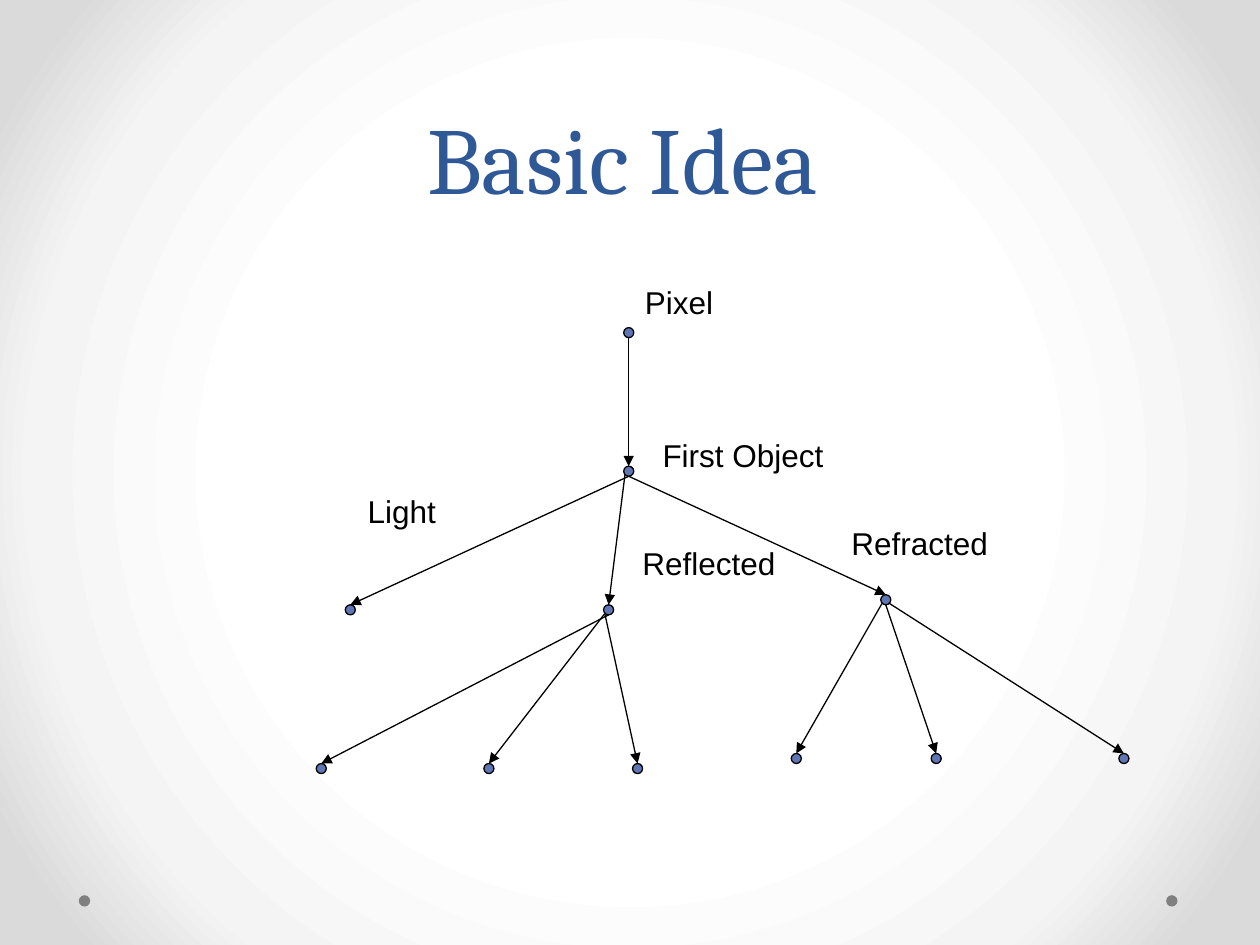
import pptx
import pptx.dml.color
import pptx.enum.shapes
import pptx.enum.text
import pptx.oxml
import pptx.oxml.ns
import pptx.util

SIZE = (10, 7.5)
TITLE = ("Basic Idea", (0.44, -0.01, 9, 1.75))
TITLE_FORMAT = {"name": "Cambria", "size": pptx.util.Pt(54)}
LABEL_FORMAT = {"name": "Arial", "size": pptx.util.Pt(18)}
BACKGROUND_STOPS = [(50, "FFFFFF"), (76, "F4F4F4"), (92, "DADADA")]

DOT = 0.08
FOOTER_DOT = 0.09
FOOTER_DOTS = [(0.67, 7.15), (9.3, 7.15)]
NODES = {
    "pixel": (4.99, 2.64),
    "first object": (4.99, 3.74),
    "light": (2.78, 4.84),
    "reflected": (4.83, 4.84),
    "refracted": (7.03, 4.76),
    "reflected left": (2.55, 6.1),
    "reflected middle": (3.88, 6.1),
    "reflected right": (5.06, 6.1),
    "refracted left": (6.32, 6.02),
    "refracted middle": (7.43, 6.02),
    "refracted right": (8.92, 6.02),
}
START_OFFSETS = {"bottom": (0, 0.04), "lower left": (-0.03, 0.03), "lower right": (0.03, 0.03)}
RAYS = [
    ("pixel", "bottom", "first object"),
    ("first object", "bottom", "light"),
    ("first object", "lower left", "reflected"),
    ("first object", "bottom", "refracted"),
    ("reflected", "bottom", "reflected left"),
    ("reflected", "lower left", "reflected middle"),
    ("reflected", "lower left", "reflected right"),
    ("refracted", "lower left", "refracted left"),
    ("refracted", "bottom", "refracted middle"),
    ("refracted", "lower right", "refracted right"),
]
LABELS = [
    ("Pixel", (5.02, 2.2, 0.74, 0.4)),
    ("First Object", (5.16, 3.41, 1.48, 0.4)),
    ("Light", (2.82, 3.86, 0.74, 0.4)),
    ("Reflected", (5, 4.27, 1.26, 0.4)),
    ("Refracted", (6.66, 4.11, 1.3, 0.4)),
]


def inches(values):
    return [pptx.util.Inches(value) for value in values]


def color(value):
    return pptx.dml.color.RGBColor.from_string(value)


def xml(tag, attributes="", content=""):
    namespace = pptx.oxml.ns.nsdecls("a")
    return pptx.oxml.parse_xml(f"<a:{tag} {namespace} {attributes}>{content}</a:{tag}>")


def paint_background(slide):
    slide.background.fill.gradient()
    gradient = slide.element.xpath(".//p:bg//a:gradFill")[0]
    for child in list(gradient):
        gradient.remove(child)
    stops = "".join(
        f'<a:gs pos="{position * 1000}"><a:srgbClr val="{value}"/></a:gs>'
        for position, value in BACKGROUND_STOPS
    )
    gradient.append(xml("gsLst", content=stops))
    center = '<a:fillToRect l="50000" t="50000" r="50000" b="50000"/>'
    gradient.append(xml("path", 'path="circle"', center))


def add_text(slide, text, box, font_format, font_color, wrap=False):
    shape = slide.shapes.add_textbox(*inches(box))
    shape.text_frame.word_wrap = wrap
    paragraph = shape.text_frame.paragraphs[0]
    run = paragraph.add_run()
    run.text = text
    for name, value in font_format.items():
        setattr(run.font, name, value)
    run.font.color.rgb = color(font_color)
    return shape.text_frame, paragraph


def add_dot(slide, center, diameter, fill, line=None):
    left, top = (value - diameter / 2 for value in center)
    kind = pptx.enum.shapes.MSO_SHAPE.OVAL
    shape = slide.shapes.add_shape(kind, *inches((left, top, diameter, diameter)))
    shape.shadow.inherit = False
    shape.fill.solid()
    shape.fill.fore_color.rgb = color(fill)
    if line:
        shape.line.color.rgb = color(line)
        shape.line.width = pptx.util.Pt(0.75)
    else:
        shape.line.fill.background()
    return shape


def add_ray(slide, start, target):
    kind = pptx.enum.shapes.MSO_CONNECTOR.STRAIGHT
    connector = slide.shapes.add_connector(kind, *inches(start), *inches(start))
    connector.end_connect(target, 0)
    connector.line.color.rgb = color("000000")
    connector.line.width = pptx.util.Pt(0.75)
    properties = connector.element.spPr
    properties.find(pptx.oxml.ns.qn("a:ln")).append(xml("tailEnd", 'type="triangle"'))
    properties.append(xml("effectLst"))


def main():
    """Build the ray tree slide and save it."""
    presentation = pptx.Presentation()
    presentation.slide_width, presentation.slide_height = inches(SIZE)
    slide = presentation.slides.add_slide(presentation.slide_layouts[6])
    paint_background(slide)
    for center in FOOTER_DOTS:
        add_dot(slide, center, FOOTER_DOT, "808080")

    frame, paragraph = add_text(slide, *TITLE, TITLE_FORMAT, "2F5897", wrap=True)
    frame.vertical_anchor = pptx.enum.text.MSO_ANCHOR.BOTTOM
    paragraph.alignment = pptx.enum.text.PP_ALIGN.CENTER
    paragraph.line_spacing = pptx.util.Pt(58)

    dots = {
        name: add_dot(slide, center, DOT, "6076B4", "000000")
        for name, center in NODES.items()
    }
    for source, side, target in RAYS:
        start = [sum(pair) for pair in zip(NODES[source], START_OFFSETS[side])]
        add_ray(slide, start, dots[target])
    for text, box in LABELS:
        frame, paragraph = add_text(slide, text, box, LABEL_FORMAT, "000000")
        frame.auto_size = pptx.enum.text.MSO_AUTO_SIZE.SHAPE_TO_FIT_TEXT
    presentation.save("out.pptx")


if __name__ == "__main__":
    main()
